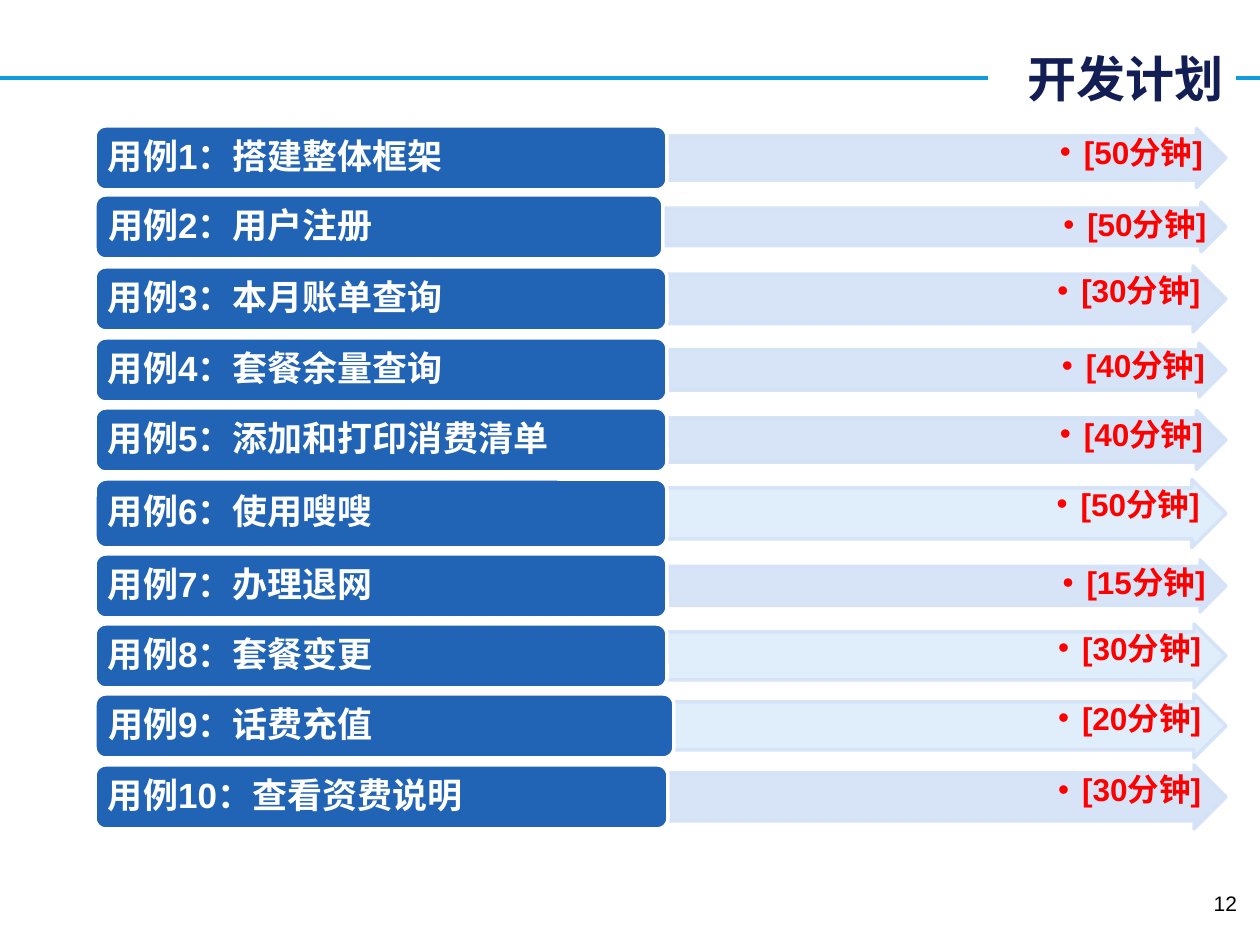
import pptx
import pptx.util
import pptx.dml.color
import pptx.enum.shapes
import pptx.enum.text
import pptx.oxml
import pptx.oxml.ns
import lxml.etree

RGBColor = pptx.dml.color.RGBColor
WHITE = RGBColor(0xFF, 0xFF, 0xFF)
BLACK = RGBColor(0x00, 0x00, 0x00)
NAVY = RGBColor(0x12, 0x1E, 0x54)
SKY = RGBColor(0x0E, 0x9C, 0xDE)
BLUE = RGBColor(0x21, 0x63, 0xB4)
PALE = RGBColor(0xD3, 0xE2, 0xF7)
ICE = RGBColor(0xE0, 0xEE, 0xFB)
RED = RGBColor(0xFF, 0x00, 0x00)

LATIN = "Arial"
CHINESE = "Noto Sans CJK SC"
LEFT = pptx.enum.text.PP_ALIGN.LEFT
RIGHT = pptx.enum.text.PP_ALIGN.RIGHT
TOP = pptx.enum.text.MSO_ANCHOR.TOP
MIDDLE = pptx.enum.text.MSO_ANCHOR.MIDDLE
SHAPE = pptx.enum.shapes.MSO_SHAPE

USE_CASES = [
    ("用例1：搭建整体框架", "[50分钟]", 126, 64, 667, 59, PALE),
    ("用例2：用户注册", "[50分钟]", 195, 64, 663, 50, PALE),
    ("用例3：本月账单查询", "[30分钟]", 267, 64, 667, 66, PALE),
    ("用例4：套餐余量查询", "[40分钟]", 338, 64, 667, 54, PALE),
    ("用例5：添加和打印消费清单", "[40分钟]", 408, 64, 667, 59, PALE),
    ("用例6：使用嗖嗖", "[50分钟]", 479, 69, 667, 68, ICE),
    ("用例7：办理退网", "[15分钟]", 554, 64, 667, 52, PALE),
    ("用例8：套餐变更", "[30分钟]", 624, 64, 667, 64, ICE),
    ("用例9：话费充值", "[20分钟]", 694, 64, 674, 64, ICE),
    ("用例10：查看资费说明", "[30分钟]", 765, 64, 668, 64, PALE),
]


def px(length):
    """Turn px into EMU."""
    return pptx.util.Emu(round(length * 914400 / 126))


def add_text(slide, box, text, size, color, bold=True, font=LATIN,
             align=LEFT, anchor=TOP, insets=(13, 6), spacing=None):
    """Add a text box with one run and return it."""
    label = slide.shapes.add_textbox(*map(px, box))
    frame = label.text_frame
    frame.word_wrap = True
    frame.vertical_anchor = anchor
    frame.margin_left = frame.margin_right = px(insets[0])
    frame.margin_top = frame.margin_bottom = px(insets[1])
    line = frame.paragraphs[0]
    line.alignment = align
    line.line_spacing = spacing
    run = line.add_run()
    run.text = text
    run.font.name = font
    run.font.size = pptx.util.Pt(size)
    run.font.bold = bold
    run.font.color.rgb = color
    east_asian = lxml.etree.SubElement(
        run.font._element, pptx.oxml.ns.qn("a:ea"))
    east_asian.set("typeface", CHINESE)
    return label


def add_block(slide, kind, box, fill, outline):
    """Add a filled, outlined preset shape without a shadow."""
    block = slide.shapes.add_shape(kind, *map(px, box))
    block.shadow.inherit = False
    block.fill.solid()
    block.fill.fore_color.rgb = fill
    block.line.color.rgb = outline
    block.line.width = pptx.util.Pt(2)
    return block


def soften(block):
    """Make every pale blue colour of a shape 90% opaque."""
    for color in block._element.spPr.iter(pptx.oxml.ns.qn("a:srgbClr")):
        if color.get("val") == str(PALE):
            alpha = lxml.etree.SubElement(color, pptx.oxml.ns.qn("a:alpha"))
            alpha.set("val", "90000")


def add_bullet(paragraph):
    """Give a paragraph a round bullet with a hanging indent."""
    paragraph.level = 1
    properties = paragraph._p.get_or_add_pPr()
    properties.set("marL", str(px(24)))
    properties.set("indent", str(-px(24)))
    bullet_font = lxml.etree.SubElement(
        properties, pptx.oxml.ns.qn("a:buFont"))
    bullet_font.set("typeface", LATIN)
    bullet = lxml.etree.SubElement(properties, pptx.oxml.ns.qn("a:buChar"))
    bullet.set("char", "•")


def add_header(slide, left, top, width, height):
    """Draw the rule across the slide and the title that interrupts it."""
    middle = px(top + height / 2)
    rule = slide.shapes.add_connector(
        pptx.enum.shapes.MSO_CONNECTOR.STRAIGHT,
        px(left), middle, px(left + width), middle)
    rule.line.color.rgb = SKY
    rule.line.width = pptx.util.Pt(2.25)
    lxml.etree.SubElement(
        rule._element.spPr, pptx.oxml.ns.qn("a:effectLst"))
    title = add_text(slide, (left + width - 272, top, 248, height),
                     "开发计划", 28, NAVY, font=CHINESE,
                     align=RIGHT, anchor=MIDDLE)
    title.fill.solid()
    title.fill.fore_color.rgb = WHITE


def add_duration(slide, left, top, width, height, duration, fill):
    """Draw the arrow with the time planned for a use case."""
    arrow = add_block(slide, SHAPE.RIGHT_ARROW,
                      (left, top, width, height), fill, PALE)
    arrow.adjustments[0] = 0.75
    arrow.adjustments[1] = 0.5
    soften(arrow)
    label = add_text(
        slide,
        (left, top + height / 8, width - height * 3 / 8, height * 3 / 4),
        duration, 18, RED, align=RIGHT, insets=(1, 1), spacing=0.9)
    add_bullet(label.text_frame.paragraphs[0])


def add_use_case(slide, left, top, width, height, name):
    """Draw the rounded bar with the name of a use case."""
    add_block(slide, SHAPE.ROUNDED_RECTANGLE,
              (left, top, width, height), BLUE, WHITE)
    add_text(slide, (left + 3, top + 3, width - 6, height - 6), name, 20,
             WHITE, anchor=MIDDLE, insets=(10, 5), spacing=0.9)


def add_plan(slide, left, right):
    """Draw one row per use case, each arrow centred on its bar."""
    for name, duration, top, height, split, arrow_height, fill in USE_CASES:
        arrow_top = top + (height - arrow_height) / 2
        add_duration(slide, split, arrow_top, right - split, arrow_height,
                     duration, fill)
        add_use_case(slide, left, top, split - left, height, name)


def add_page_number(slide, left, top, width, height):
    """Write the page number in its corner."""
    add_text(slide, (left, top, width, height), "12", 12, BLACK,
             bold=False, align=RIGHT)


def main():
    """Build the development plan slide."""
    deck = pptx.Presentation()
    deck.slide_width, deck.slide_height = px(1260), px(945)
    slide = deck.slides.add_slide(deck.slide_layouts[6])
    add_header(slide, 0, 42, 1260, 72)
    add_plan(slide, 95, 1226)
    add_page_number(slide, 956, 885, 294, 50)
    deck.save("out.pptx")


if __name__ == "__main__":
    main()
